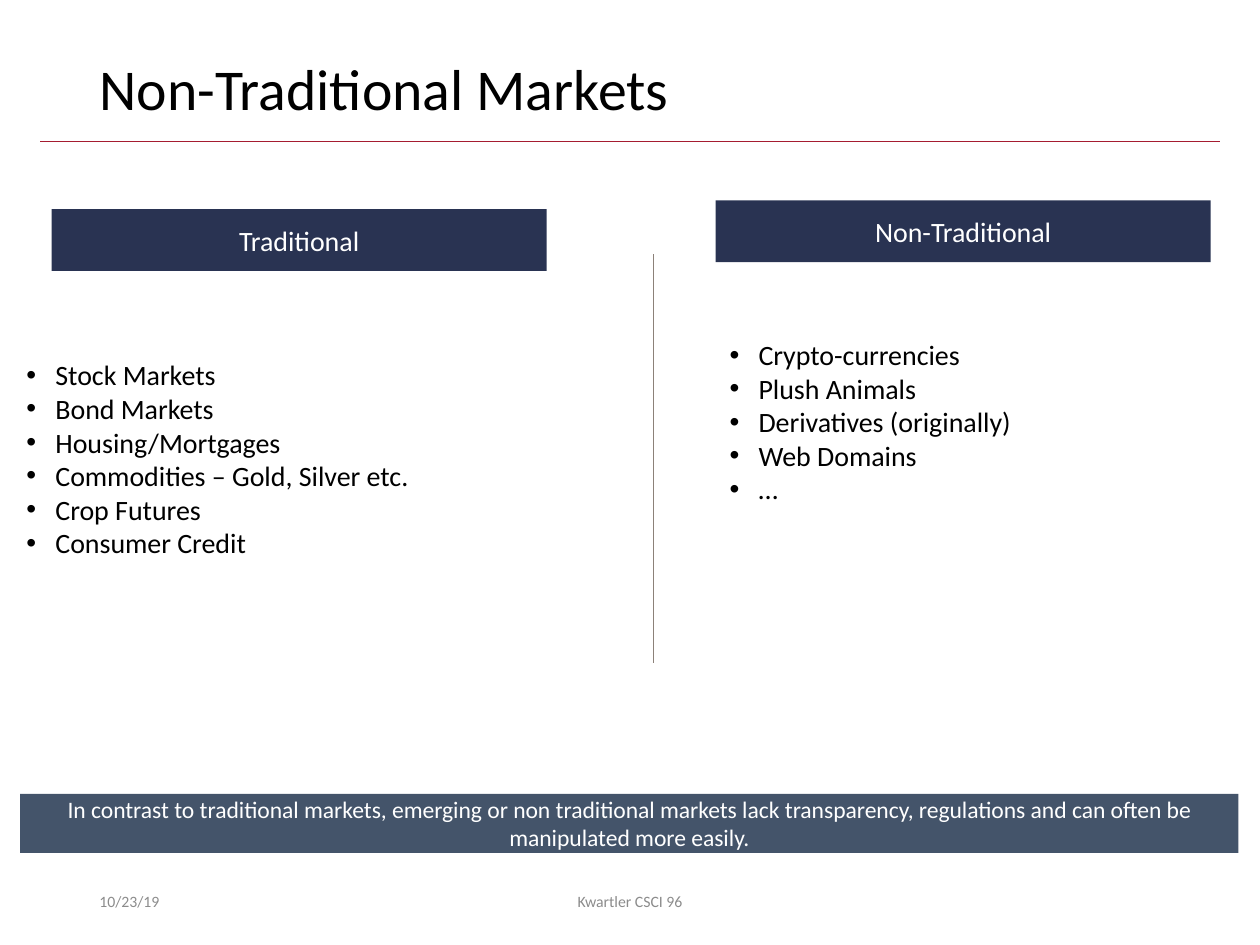
from dataclasses import dataclass

from lxml import etree
from pptx import Presentation
from pptx.dml.color import RGBColor
from pptx.enum import shapes, text
from pptx.oxml.ns import qn
from pptx.util import Inches, Pt

BLACK = RGBColor(0x00, 0x00, 0x00)
WHITE = RGBColor(0xFF, 0xFF, 0xFF)
GRAY = RGBColor(0x8C, 0x8C, 0x8C)
NAVY = RGBColor(0x29, 0x33, 0x52)
SLATE = RGBColor(0x44, 0x54, 0x6A)
CRIMSON = RGBColor(0xA5, 0x1C, 0x30)
TAUPE = RGBColor(0x8C, 0x81, 0x79)
FONT = "Calibri"
LEFT, CENTER = text.PP_ALIGN.LEFT, text.PP_ALIGN.CENTER
TOP, MIDDLE = text.MSO_ANCHOR.TOP, text.MSO_ANCHOR.MIDDLE
HEADER_SIZE = (3.93, 0.49)


@dataclass
class Market:
    name: str
    header_at: tuple[float, float]
    list_box: tuple[float, float, float, float]
    items: list[str]


MARKETS = [
    Market("Traditional", (0.41, 1.66), (0.11, 2.79, 4.93, 2.58),
           ["Stock Markets", "Bond Markets", "Housing/Mortgages",
            "Commodities – Gold, Silver etc.", "Crop Futures", "Consumer Credit"]),
    Market("Non-Traditional", (5.68, 1.59), (5.69, 2.63, 3.71, 2.18),
           ["Crypto-currencies", "Plush Animals", "Derivatives (originally)",
            "Web Domains", "…"]),
]


def write(sp, *lines: str, size: float, color: RGBColor, align=LEFT,
          anchor=MIDDLE, spacing: float = 1.0, bullets: bool = False) -> None:
    """Fill a shape with one paragraph per line."""
    tf = sp.text_frame
    tf.word_wrap = True
    tf.auto_size = text.MSO_AUTO_SIZE.NONE
    tf.vertical_anchor = anchor
    for i, line in enumerate(lines):
        p = tf.add_paragraph() if i else tf.paragraphs[0]
        if bullets:
            pPr = p._p.get_or_add_pPr()
            pPr.set("marL", str(Inches(0.23)))
            pPr.set("indent", str(Inches(-0.23)))
            etree.SubElement(pPr, qn("a:buFont")).set("typeface", "Arial")
            etree.SubElement(pPr, qn("a:buChar")).set("char", "•")
        p.alignment = align
        p.line_spacing = spacing
        p.space_before = Pt(0)
        r = p.add_run()
        r.text = line
        r.font.name, r.font.size, r.font.color.rgb = FONT, Pt(size), color


def place(sp, *box: float) -> None:
    sp.left, sp.top, sp.width, sp.height = map(Inches, box)


def add_line(s, x1: float, y1: float, x2: float, y2: float, color: RGBColor) -> None:
    line = s.shapes.add_connector(shapes.MSO_CONNECTOR.STRAIGHT,
                                  *map(Inches, (x1, y1, x2, y2)))
    line.line.color.rgb = color
    line.line.width = Pt(0.5)
    etree.SubElement(line._element.spPr, qn("a:effectLst"))


def add_bar(s, label: str, *box: float, fill: RGBColor, size: float) -> None:
    sp = s.shapes.add_shape(shapes.MSO_SHAPE.RECTANGLE, *map(Inches, box))
    sp.shadow.inherit = False
    sp.fill.solid()
    sp.fill.fore_color.rgb = fill
    sp.line.fill.background()
    write(sp, label, size=size, color=WHITE, align=CENTER)


def add_footer(s, label: str, left: float, width: float, align) -> None:
    sp = s.shapes.add_textbox(*map(Inches, (left, 6.95, width, 0.4)))
    write(sp, label, size=9, color=GRAY, align=align)


def main() -> None:
    prs = Presentation()
    prs.slide_width, prs.slide_height = Inches(10), Inches(7.5)
    s = prs.slides.add_slide(prs.slide_layouts.get_by_name("Two Content"))
    title, *bodies = s.placeholders

    # Title and rule
    add_line(s, 0.32, 1.12, 9.68, 1.12, CRIMSON)
    place(title, 0.69, 0.4, 8.62, 0.65)
    write(title, "Non-Traditional Markets", size=33, color=BLACK, spacing=0.9)

    # Two columns with a divider
    add_line(s, 5.19, 2.02, 5.19, 5.26, TAUPE)
    for market, body in zip(MARKETS, bodies):
        place(body, *market.list_box)
        write(body, *market.items, size=16, color=BLACK, anchor=TOP, bullets=True)
        add_bar(s, market.name, *market.header_at, *HEADER_SIZE, fill=NAVY, size=16)

    # Takeaway banner
    add_bar(s, "In contrast to traditional markets, emerging or non traditional "
            "markets lack transparency, regulations and can often be "
            "manipulated more easily.",
            0.16, 6.3, 9.67, 0.47, fill=SLATE, size=13.5)

    # Footer
    add_footer(s, "10/23/19", 0.69, 2.25, LEFT)
    add_footer(s, "Kwartler CSCI 96", 3.31, 3.38, CENTER)

    prs.save("out.pptx")


if __name__ == "__main__":
    main()
